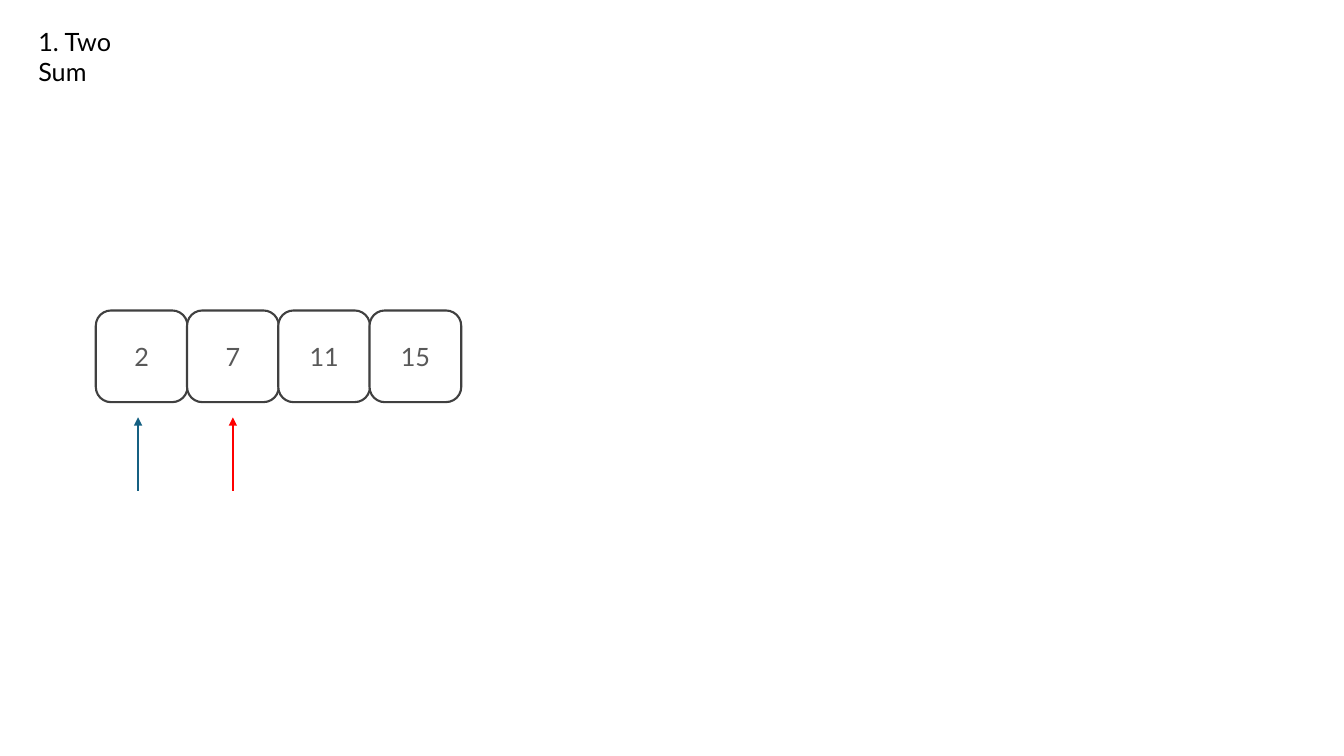
from dataclasses import dataclass

from lxml.etree import SubElement
from pptx import Presentation
from pptx.dml.color import RGBColor
from pptx.enum.shapes import MSO_CONNECTOR, MSO_SHAPE
from pptx.enum.text import MSO_ANCHOR, MSO_AUTO_SIZE, PP_ALIGN
from pptx.oxml.ns import qn
from pptx.slide import Slide
from pptx.text.text import TextFrame
from pptx.util import Inches, Pt


@dataclass(frozen=True)
class Theme:
    font: str = "Lato"
    size: float = 18
    line_width: float = 1.5
    title: str = "000000"
    value: str = "595959"
    cell_fill: str = "FFFFFF"
    cell_line: str = "404040"
    first: str = "156082"
    second: str = "FF0000"


@dataclass(frozen=True)
class Cell:
    value: str
    index: int


@dataclass(frozen=True)
class Pointer:
    x: float
    color: str


THEME = Theme()
ARRAY_LEFT, ARRAY_TOP, ARRAY_WIDTH = 0.95, 3.08, 3.62
CELL_SIZE = 0.91
POINTER_TAIL, POINTER_TIP = 4.87, 4.14
VALUES = ["2", "7", "11", "15"]
PITCH = ARRAY_WIDTH / len(VALUES)
CELLS = [Cell(value, i) for i, value in enumerate(VALUES)]
POINTERS = [Pointer(1.37, THEME.first), Pointer(2.31, THEME.second)]


def write_text(tf: TextFrame, text: str, color: str, align: PP_ALIGN, anchor: MSO_ANCHOR) -> None:
    frame_format = {
        "word_wrap": True,
        "auto_size": MSO_AUTO_SIZE.NONE,
        "vertical_anchor": anchor,
    }
    for name, value in frame_format.items():
        setattr(tf, name, value)
    p = tf.paragraphs[0]
    p.alignment = align
    r = p.add_run()
    r.text = text
    for name, value in {"name": THEME.font, "size": Pt(THEME.size)}.items():
        setattr(r.font, name, value)
    r.font.color.rgb = RGBColor.from_string(color)


def add_title(s: Slide, text: str) -> None:
    sp = s.shapes.title
    box = {"left": 0.28, "top": 0.21, "width": 1.44, "height": 0.4}
    for name, value in box.items():
        setattr(sp, name, Inches(value))
    write_text(sp.text_frame, text, THEME.title, PP_ALIGN.LEFT, MSO_ANCHOR.TOP)


def add_cell(s: Slide, cell: Cell) -> None:
    sp = s.shapes.add_shape(
        MSO_SHAPE.ROUNDED_RECTANGLE,
        Inches(ARRAY_LEFT + cell.index * PITCH),
        Inches(ARRAY_TOP),
        Inches(CELL_SIZE),
        Inches(CELL_SIZE),
    )
    sp.shadow.inherit = False
    sp.fill.solid()
    sp.fill.fore_color.rgb = RGBColor.from_string(THEME.cell_fill)
    sp.line.color.rgb = RGBColor.from_string(THEME.cell_line)
    sp.line.width = Pt(THEME.line_width)
    write_text(sp.text_frame, cell.value, THEME.value, PP_ALIGN.CENTER, MSO_ANCHOR.MIDDLE)


def add_pointer(s: Slide, pointer: Pointer) -> None:
    x = Inches(pointer.x)
    cxn = s.shapes.add_connector(
        MSO_CONNECTOR.STRAIGHT, x, Inches(POINTER_TAIL), x, Inches(POINTER_TIP)
    )
    cxn.line.color.rgb = RGBColor.from_string(pointer.color)
    cxn.line.width = Pt(THEME.line_width)
    SubElement(cxn.line._get_or_add_ln(), qn("a:tailEnd"), type="triangle")
    SubElement(cxn._element.spPr, qn("a:effectLst"))


def main() -> None:
    prs = Presentation()
    prs.slide_width, prs.slide_height = Inches(13.33), Inches(7.5)
    s = prs.slides.add_slide(prs.slide_layouts[5])
    for cell in CELLS:
        add_cell(s, cell)
    add_title(s, "1. Two Sum")
    for pointer in POINTERS:
        add_pointer(s, pointer)
    prs.save("out.pptx")


if __name__ == "__main__":
    main()
